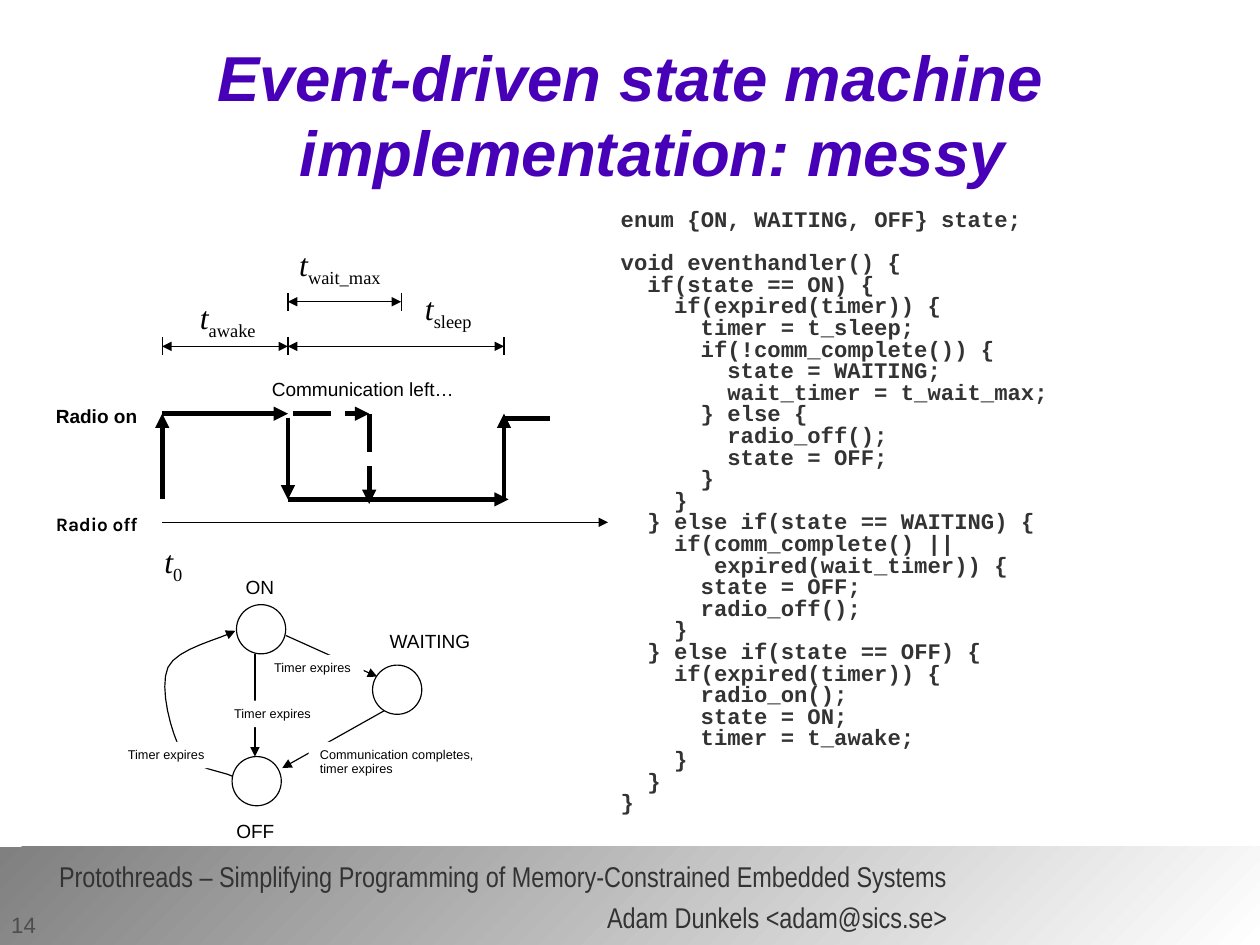
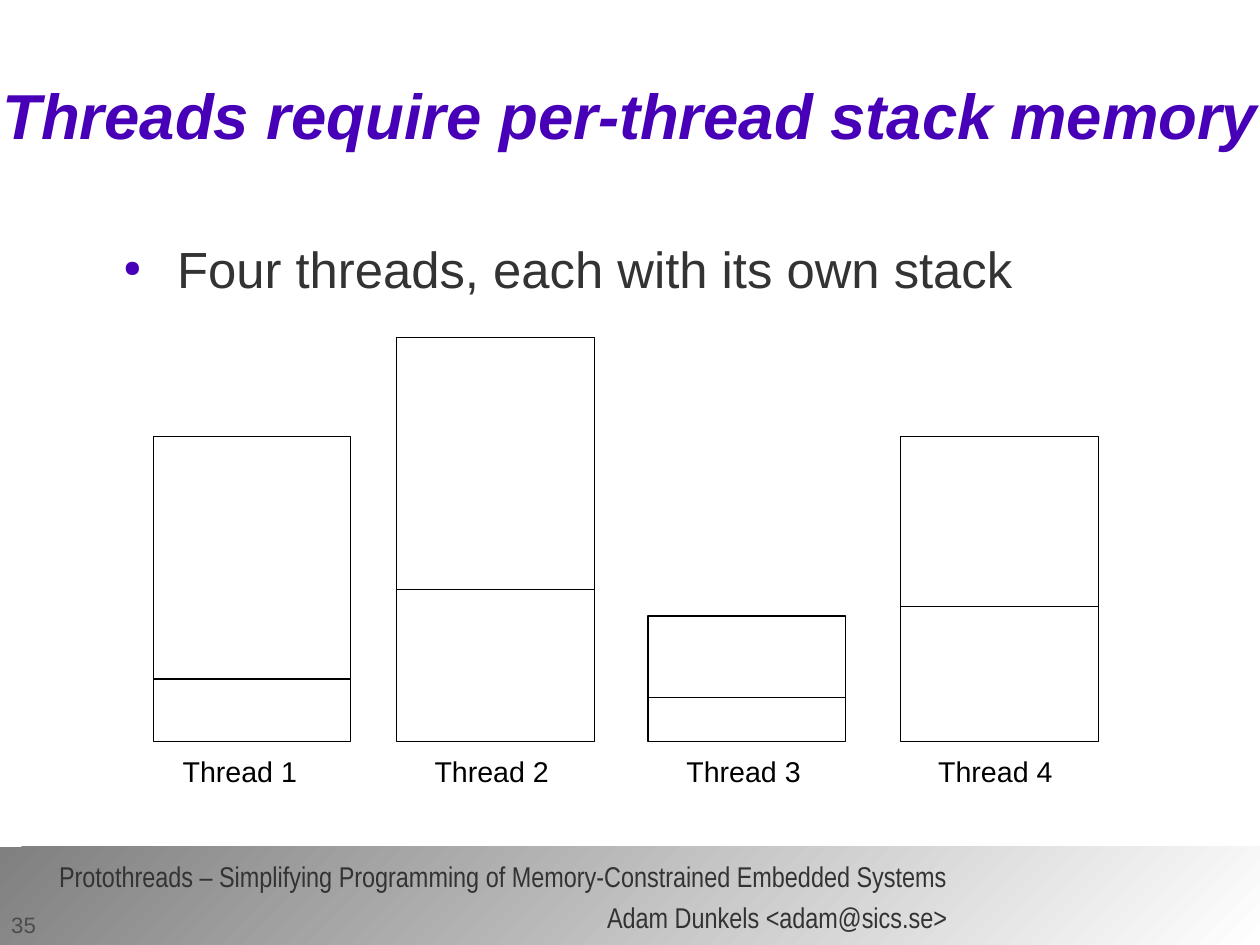
from pptx import Presentation
from pptx.dml.color import RGBColor
from pptx.enum.dml import MSO_LINE
from pptx.enum.shapes import MSO_CONNECTOR, MSO_SHAPE
from pptx.enum.text import MSO_ANCHOR, MSO_AUTO_SIZE, PP_ALIGN
from pptx.oxml.ns import qn
from pptx.util import Pt
from lxml.etree import SubElement

WIDTH, HEIGHT = 793.7, 595.28
BLACK, WHITE, GREY, PURPLE = "000000", "FFFFFF", "333333", "4700B8"
CODE = """enum {ON, WAITING, OFF} state;

void eventhandler() {
  if(state == ON) {
    if(expired(timer)) {
      timer = t_sleep;
      if(!comm_complete()) {
        state = WAITING;
        wait_timer = t_wait_max;
      } else {
        radio_off();
        state = OFF;
      }
    }
  } else if(state == WAITING) {
    if(comm_complete() ||
       expired(wait_timer)) {
      state = OFF;
      radio_off();
    }
  } else if(state == OFF) {
    if(expired(timer)) {
      radio_on();
      state = ON;
      timer = t_awake;
    }
  }
}"""


def colour(value):
    return RGBColor.from_string(value)


def write(paragraph, text, size=12, font="Arial", color=BLACK, bold=False, italic=False,
          subscript="", align=PP_ALIGN.LEFT, spacing=0.96, before=0, after=0,
          margin=0, indent=0, bullet=None):
    paragraph.alignment = align
    paragraph.line_spacing = spacing
    paragraph.space_before, paragraph.space_after = Pt(before), Pt(after)
    properties = paragraph._p.get_or_add_pPr()
    properties.set("marL", str(Pt(margin)))
    properties.set("indent", str(Pt(indent)))
    if bullet:
        bullet_color = SubElement(properties, qn("a:buClr"))
        SubElement(bullet_color, qn("a:srgbClr")).set("val", PURPLE)
        SubElement(properties, qn("a:buSzPct")).set("val", "45000")
        SubElement(properties, qn("a:buChar")).set("char", bullet)
    for content in filter(None, (text, subscript)):
        run = paragraph.add_run()
        run.text = content
        run.font.size, run.font.name = Pt(size), font
        run.font.color.rgb = colour(color)
        run.font.bold = bold
        run.font.italic = italic and content != subscript
        if content == subscript:
            run._r.get_or_add_rPr().set("baseline", "-25000")


def bezier(start, first, second, end, steps=8):
    points = []
    for step in range(1, steps + 1):
        t = step / steps
        weights = (1 - t) ** 3, 3 * t * (1 - t) ** 2, 3 * t * t * (1 - t), t ** 3
        corners = start, first, second, end
        points.append(tuple(sum(w * p[axis] for w, p in zip(weights, corners)) for axis in (0, 1)))
    return points


class Deck:
    """Holds the shared style and the slide being built."""

    def __init__(self):
        self.presentation = Presentation()
        self.presentation.slide_width = Pt(WIDTH)
        self.presentation.slide_height = Pt(HEIGHT)
        self.slide = None

    def start_slide(self, title, number, left=0):
        self.slide = self.presentation.slides.add_slide(self.presentation.slide_layouts[5])
        self.footer(number)
        shape = self.slide.shapes.title
        shape.left, shape.top = Pt(left), Pt(23.8)
        shape.width, shape.height = Pt(WIDTH - 2 * left), Pt(99.4)
        self.plain_frame(shape.text_frame, MSO_ANCHOR.MIDDLE)
        write(shape.text_frame.paragraphs[0], title, size=40, color=PURPLE, bold=True, italic=True,
              align=PP_ALIGN.CENTER, spacing=0.98, margin=28.1, indent=-28.1)

    def footer(self, number):
        band = self.shape(MSO_SHAPE.ROUNDED_RECTANGLE, 0, 533.5, WIDTH, HEIGHT - 533.5, line=False)
        band.adjustments[0] = 0
        band.fill.gradient()
        band.fill.gradient_angle = 315
        for stop, value in zip(band.fill.gradient_stops, ("808080", WHITE)):
            stop.color.rgb = colour(value)
        frame = self.body(8.6, 537.8, 588.2, 49.7, MSO_ANCHOR.MIDDLE)
        self.lines(frame, "Protothreads – Simplifying Programming of Memory-Constrained Embedded Systems\n"
                   "Adam Dunkels <adam@sics.se>", size=18, font="Arial Narrow", color=GREY,
                   align=PP_ALIGN.RIGHT, spacing=1.2)
        self.label(number, 0, 571.7, 31.7, 23, size=14, color="4D4D4D")

    def plain_frame(self, frame, anchor):
        frame.word_wrap, frame.auto_size = True, MSO_AUTO_SIZE.NONE
        frame.vertical_anchor = anchor
        frame.margin_left = frame.margin_right = frame.margin_top = frame.margin_bottom = 0

    def body(self, left, top, width, height, anchor=MSO_ANCHOR.TOP):
        shape = self.slide.shapes.add_textbox(Pt(left), Pt(top), Pt(width), Pt(height))
        self.plain_frame(shape.text_frame, anchor)
        return shape.text_frame

    def lines(self, frame, text, **style):
        for index, line in enumerate(text.split("\n")):
            write(frame.add_paragraph() if index else frame.paragraphs[0], line, **style)

    def label(self, text, left, top, width, height=20.9, fill=None, **style):
        shape = self.slide.shapes.add_textbox(Pt(left), Pt(top), Pt(width), Pt(height))
        shape.text_frame.word_wrap = False
        shape.text_frame.auto_size = MSO_AUTO_SIZE.SHAPE_TO_FIT_TEXT
        if fill:
            shape.fill.solid()
            shape.fill.fore_color.rgb = colour(fill)
        self.lines(shape.text_frame, text, **style)

    def code(self, text, left, top, width, height):
        frame = self.body(left, top, width, height)
        gap, paragraph = 0, frame.paragraphs[0]
        for line in text.split("\n"):
            content = line.lstrip()
            if not content:
                gap = 13.6
                continue
            depth = len(line) - len(content)
            write(paragraph or frame.add_paragraph(), content, size=14, font="Courier New",
                  color=GREY, bold=True, spacing=0.75, before=gap, after=1, margin=5.8 + 8.4 * depth)
            gap, paragraph = 0, None

    def shape(self, kind, left, top, width, height, line=True):
        shape = self.slide.shapes.add_shape(kind, Pt(left), Pt(top), Pt(width), Pt(height))
        shape.shadow.inherit = False
        shape.fill.background()
        if line:
            self.stroke(shape)
        else:
            shape.line.fill.background()
        return shape

    def stroke(self, shape, width=0.75, dash=None, head=False, tail=False):
        shape.line.color.rgb = colour(BLACK)
        shape.line.width = Pt(width)
        if dash:
            shape.line.dash_style = dash
        outline = shape._element.spPr.find(qn("a:ln"))
        for name, wanted in (("a:headEnd", head), ("a:tailEnd", tail)):
            if wanted:
                SubElement(outline, qn(name)).set("type", "triangle")

    def line(self, start, end, **style):
        connector = self.slide.shapes.add_connector(
            MSO_CONNECTOR.STRAIGHT, *(Pt(value) for value in (*start, *end)))
        self.stroke(connector, **style)
        SubElement(connector._element.spPr, qn("a:effectLst"))

    def curve(self, start, *segments):
        points = [start]
        for segment in segments:
            points += bezier(points[-1], *segment)
        builder = self.slide.shapes.build_freeform(Pt(start[0]), Pt(start[1]))
        builder.add_line_segments([(Pt(x), Pt(y)) for x, y in points[1:]], close=False)
        shape = builder.convert_to_shape()
        shape.shadow.inherit = False
        shape.fill.background()
        self.stroke(shape, tail=True)


def draw_timeline(deck):
    start, asleep, late, limit, wake = 102.2, 181.4, 232.6, 252.7, 317.5
    on, off = 260.6, 314.6
    deck.label("Radio on", 28.1, 252, 66.2, bold=True)
    deck.label("Radio off", 28.1, 320.4, 67, font="Karla", bold=True)
    deck.line((start, 329), (383, 329), tail=True)
    for begin, end, dash in (
            ((start, off), (start, on), None),
            ((start, on), (asleep, on), None),
            ((asleep, 263.5), (asleep, off), None),
            ((184.3, on), (late, on), MSO_LINE.LONG_DASH),
            ((late, on), (late, 317.5), MSO_LINE.LONG_DASH),
            ((asleep, off), (320.4, off), None),
            ((wake, off), (wake, on), None)):
        deck.line(begin, end, width=3, dash=dash, tail=True)
    deck.line((wake, 263.5), (346.3, 263.5), width=3)
    for subscript, left, top, width in (("0", 96.5, 337.7, 26.6), ("awake", 118.8, 184.3, 53.3),
                                        ("wait_max", 181.4, 150.5, 71.3), ("sleep", 260.6, 178.6, 46.8)):
        deck.label("t", left, top, width, 30.2, size=20, font="Times New Roman",
                   italic=True, subscript=subscript)
    for y, ticks in ((218.2, (start, asleep, wake)), (190.1, (asleep, limit))):
        for x in ticks:
            deck.line((x, y - 5.7), (x, y + 5.7))
        for left, right in zip(ticks, ticks[1:]):
            deck.line((left, y), (right, y), head=True, tail=True)
    deck.label("Communication left…", 164.2, 235.4, 128.9)


def draw_states(deck):
    for left, top in ((149, 380.9), (234.7, 419), (146.2, 476.6)):
        deck.shape(MSO_SHAPE.OVAL, left, top, 31, 31)
    for name, left, top, width in (("ON", 147.6, 360, 32.4), ("OFF", 141.8, 513.4, 38.9),
                                   ("WAITING", 238.3, 393.8, 65.5)):
        deck.label(name, left, top, width)
    for begin, end in (((180, 400.3), (237.6, 426.2)), ((241.9, 447.8), (177.8, 483.8)),
                       ((160.6, 411.8), (160.6, 476.6))):
        deck.line(begin, end, tail=True)
    deck.curve((146.2, 488.9),
               ((141.1, 486), (121.7, 484.6), (114.5, 473.8)),
               ((108, 462.2), (100.1, 433.4), (105.8, 420.5)),
               ((111.6, 408.2), (139.7, 402.5), (148.3, 397.4)))
    for left, top in ((73.4, 467.3), (165.6, 412.6), (140.4, 441.4)):
        deck.label("Timer expires", left, top, 63.4, 16.6, fill=WHITE, size=8)
    deck.label("Communication completes,\ntimer expires", 194.4, 467.3, 111.6, 25.9, fill=WHITE, size=8)


def draw_stacks(deck):
    width, bottom = 124.6, 467.3
    stacks = ((96.5, 275, 427.7), (249.8, 212.4, 371.5), (408.2, 388.1, 439.2), (567.4, 275, 382.3))
    for index, (left, top, divider) in enumerate(stacks):
        deck.shape(MSO_SHAPE.RECTANGLE, left, top, width, bottom - top)
        deck.line((left, divider), (left + width, divider))
        deck.label(f"Thread {index + 1}", 108 + 158.65 * index, 473, 86.4, 28.1, size=18)


def main():
    deck = Deck()
    deck.start_slide("Event-driven state machine implementation: messy", "14", left=58.3)
    deck.code(CODE, 385.2, 133.2, 388.8, 393.1)
    draw_timeline(deck)
    draw_states(deck)

    deck.start_slide("Threads require per-thread stack memory", "35")
    write(deck.body(72, 151.9, 662.4, 375.1).paragraphs[0], "Four threads, each with its own stack",
          size=32, color=GREY, spacing=0.98, after=14.1, margin=39.6, indent=-33.8, bullet="●")
    draw_stacks(deck)
    deck.presentation.save("out.pptx")


if __name__ == "__main__":
    main()
